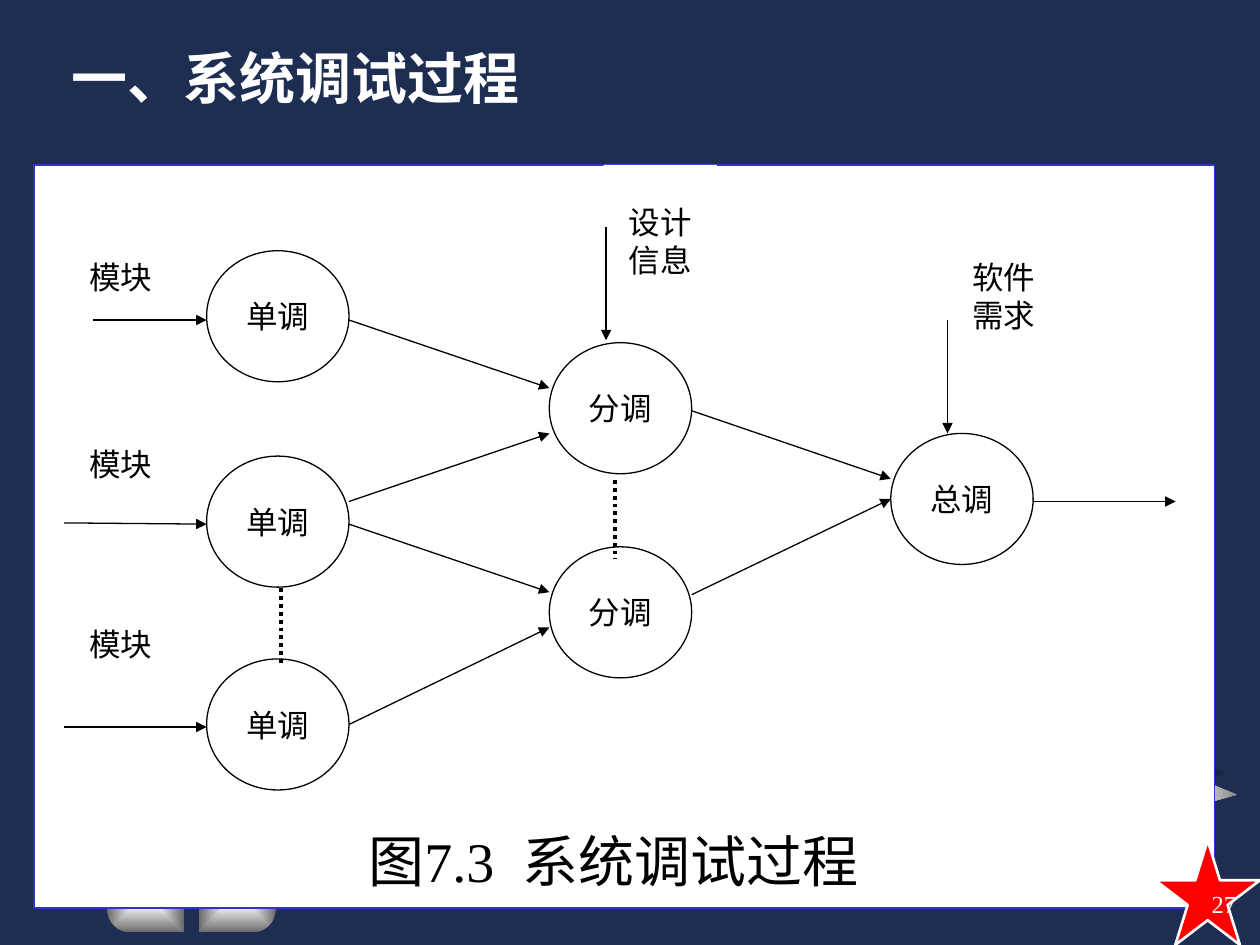
import math
from dataclasses import dataclass

import pptx
import pptx.dml.color
import pptx.enum.dml
import pptx.enum.shapes
import pptx.enum.text
import pptx.oxml
import pptx.oxml.ns
import pptx.util
from pptx.util import Inches

COLORS = {
    "navy": "1E2E53", "night": "0D1526", "silver": "EAEAEA", "gray": "6B6B6B",
    "white": "FFFFFF", "black": "000000", "frame": "3333CC", "red": "FF0000",
}
SHAPE = pptx.enum.shapes.MSO_SHAPE
ALIGN = pptx.enum.text.PP_ALIGN
ANCHOR = pptx.enum.text.MSO_ANCHOR
TIMES, SANS = "Times New Roman", "Noto Sans CJK SC"
STAGE_SIZE = (1.13, 1.04)
BUTTON_TOP, BUTTON_WIDTH, BUTTON_RADIUS = 7.02, 0.61, 0.19


@dataclass
class Stage:
    name: str
    left: float
    top: float


@dataclass
class Label:
    text: str
    box: tuple[float, float, float, float]
    align: ALIGN = ALIGN.JUSTIFY
    anchor: ANCHOR = ANCHOR.TOP


@dataclass
class Flow:
    start: tuple[float, float]
    end: tuple[float, float]
    dotted: bool = False


STAGES = [
    Stage("单调", 1.64, 1.99), Stage("单调", 1.64, 3.62), Stage("单调", 1.64, 5.23),
    Stage("分调", 4.36, 2.72), Stage("分调", 4.36, 4.34),
    Stage("总调", 7.07, 3.44),
]
LABELS = [
    Label("软件需求", (7.62, 2, 0.9, 1.28), ALIGN.LEFT),
    Label("设计信息", (4.79, 1.31, 0.9, 1.2), ALIGN.CENTER, ANCHOR.MIDDLE),
    Label("模块", (0.61, 2, 1.13, 1.02)),
    Label("模块", (0.61, 3.48, 0.9, 0.77)),
    Label("模块", (0.61, 4.91, 0.9, 0.77)),
]
FLOWS = [
    Flow((0.74, 2.54), (1.64, 2.54)),
    Flow((0.51, 4.15), (1.64, 4.16)),
    Flow((0.51, 5.77), (1.64, 5.77)),
    Flow((2.77, 2.54), (4.36, 3.08)),
    Flow((2.77, 3.98), (4.36, 3.44)),
    Flow((2.77, 4.16), (4.36, 4.7)),
    Flow((2.77, 5.75), (4.36, 4.98)),
    Flow((5.49, 3.26), (7.07, 3.8)),
    Flow((5.49, 4.72), (7.07, 3.96)),
    Flow((7.52, 2.54), (7.52, 3.44)),
    Flow((4.81, 1.8), (4.81, 2.7)),
    Flow((8.2, 3.98), (9.33, 3.98)),
    Flow((4.88, 3.81), (4.88, 4.44), dotted=True),
    Flow((2.23, 4.67), (2.23, 5.29), dotted=True),
]


def rgb(color: str) -> pptx.dml.color.RGBColor:
    return pptx.dml.color.RGBColor.from_string(COLORS[color])


def add_element(parent, tag: str, **attributes: str):
    element = pptx.oxml.parse_xml(f"<{tag} {pptx.oxml.ns.nsdecls('a')}/>")
    for name, value in attributes.items():
        element.set(name, value)
    parent.append(element)
    return element


def add_figure(slide, kind: SHAPE, box: tuple, fill: str, line: str = "", width: float = 0):
    figure = slide.shapes.add_shape(kind, *map(Inches, box))
    figure.shadow.inherit = False
    figure.fill.solid()
    figure.fill.fore_color.rgb = rgb(fill)
    if line:
        figure.line.color.rgb = rgb(line)
        figure.line.width = pptx.util.Pt(width)
    else:
        figure.line.fill.background()
    return figure


def shade(figure, inner: str, outer: str) -> None:
    """Give a borderless shape a gradient that spreads from its centre."""
    figure.shadow.inherit = False
    figure.line.fill.background()
    figure.fill.gradient()
    for stop, color in zip(figure.fill.gradient_stops, (inner, outer)):
        stop.color.rgb = rgb(color)
    gradient = figure.fill._xPr.find(pptx.oxml.ns.qn("a:gradFill"))
    linear = gradient.find(pptx.oxml.ns.qn("a:lin"))
    spread = add_element(gradient, "a:path", path="rect")
    add_element(spread, "a:fillToRect", l="50000", t="50000", r="50000", b="50000")
    gradient.replace(linear, spread)


def add_button(slide, flat_side: float, direction: int) -> None:
    """Draw a button from its flat side towards a rounded end (-1 left, 1 right)."""
    center = flat_side + direction * (BUTTON_WIDTH - BUTTON_RADIUS)
    arc = [
        (center + direction * BUTTON_RADIUS * math.sin(angle),
         BUTTON_TOP + BUTTON_RADIUS * (1 - math.cos(angle)))
        for angle in (math.pi * step / 18 for step in range(19))
    ]
    outline = slide.shapes.build_freeform(Inches(flat_side), Inches(BUTTON_TOP))
    corner = (flat_side, BUTTON_TOP + 2 * BUTTON_RADIUS)
    outline.add_line_segments([(Inches(x), Inches(y)) for x, y in [*arc, corner]])
    shade(outline.convert_to_shape(), "silver", "gray")


def write(shape, text: str, size: float, font: str, color: str, align: ALIGN,
          anchor: ANCHOR = ANCHOR.TOP):
    frame = shape.text_frame
    frame.word_wrap = True
    frame.vertical_anchor = anchor
    paragraph = frame.paragraphs[0]
    paragraph.alignment = align
    add_run(paragraph, text, size, font, color)
    return paragraph


def add_run(paragraph, text: str, size: float, font: str, color: str):
    run = paragraph.add_run()
    run.text = text
    run.font.size = pptx.util.Pt(size)
    run.font.name = font
    run.font.color.rgb = rgb(color)
    add_element(run.font._element, "a:ea", typeface=SANS)
    return run


def add_flow(slide, flow: Flow) -> None:
    line = slide.shapes.add_connector(
        pptx.enum.shapes.MSO_CONNECTOR.STRAIGHT, *map(Inches, flow.start + flow.end))
    line.line.color.rgb = rgb("black")
    line.line.width = pptx.util.Pt(2.25 if flow.dotted else 0.75)
    if flow.dotted:
        line.line.dash_style = pptx.enum.dml.MSO_LINE.ROUND_DOT
    else:
        add_element(line.line._get_or_add_ln(), "a:tailEnd", type="triangle")
    add_element(line._element.spPr, "a:effectLst")


def add_text(slide, box: tuple):
    return slide.shapes.add_textbox(*map(Inches, box))


def main() -> None:
    deck = pptx.Presentation()
    deck.slide_width, deck.slide_height = Inches(10), Inches(7.5)
    slide = deck.slides.add_slide(deck.slide_layouts[6])
    slide.background.fill.solid()
    slide.background.fill.fore_color.rgb = rgb("navy")

    for left, top, inner, outer in ((9.06, 5.75, "night", "navy"),
                                    (9.14, 5.92, "silver", "gray")):
        star = add_figure(slide, SHAPE.STAR_5_POINT, (left, top, 0.67, 0.67), inner)
        star.rotation = 22
        shade(star, inner, outer)
    add_button(slide, 1.46, -1)
    add_button(slide, 1.58, 1)

    add_figure(slide, SHAPE.RECTANGLE, (0.27, 1.31, 9.37, 5.9), "white", "frame", 1)
    title = write(add_text(slide, (0.47, 0.36, 9.02, 0.76)), "一、系统调试过程",
                  32, "Arial", "white", ALIGN.LEFT)
    title.line_spacing = 0.9
    title.runs[0].font.bold = True
    add_figure(slide, SHAPE.STAR_5_POINT, (9.17, 6.67, 0.83, 0.83), "red", "white", 1.5)

    for label in LABELS:
        panel = add_figure(slide, SHAPE.RECTANGLE, label.box, "white")
        write(panel, label.text, 18, SANS, "black", label.align, label.anchor)
    for stage in STAGES:
        circle = add_figure(slide, SHAPE.OVAL, (stage.left, stage.top, *STAGE_SIZE),
                            "white", "black", 0.75)
        write(circle, stage.name, 18, TIMES, "black", ALIGN.CENTER, ANCHOR.MIDDLE)
    for flow in FLOWS:
        add_flow(slide, flow)

    caption = write(add_text(slide, (1.25, 6.51, 7.24, 0.64)), "图7.3",
                    32, TIMES, "black", ALIGN.CENTER)
    caption.space_before = pptx.util.Pt(20)
    gap = add_run(caption, " ", 32, TIMES, "black")
    gap.font._element.set("spc", "800")
    add_run(caption, "系统调试过程", 32, TIMES, "black")
    write(add_text(slide, (7.83, 6.92, 2.08, 0.5)), "27",
          14, TIMES, "white", ALIGN.RIGHT, ANCHOR.MIDDLE)
    deck.save("out.pptx")


if __name__ == "__main__":
    main()
